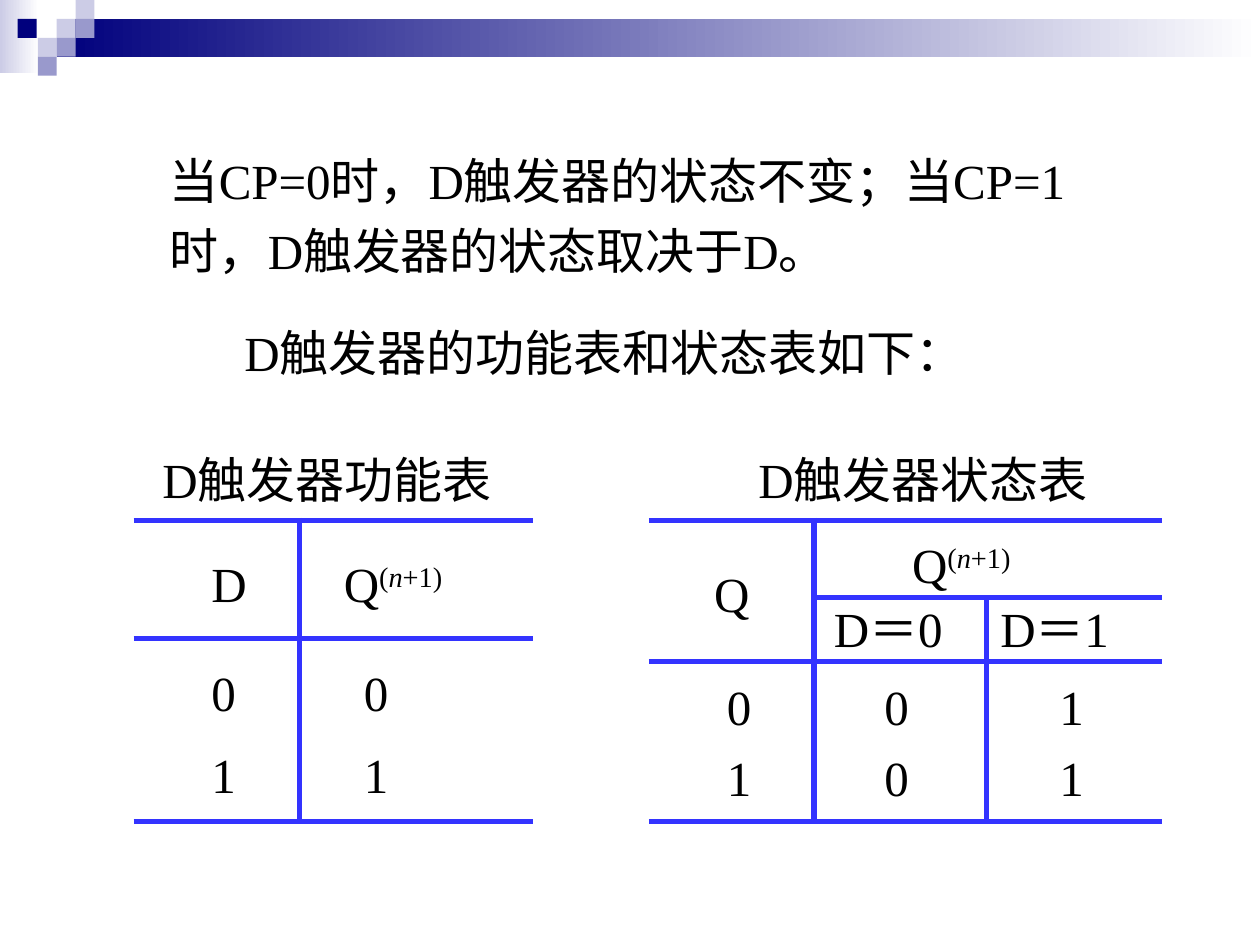
from lxml import etree
from pptx import Presentation
from pptx import util as u
from pptx.dml.color import RGBColor
from pptx.enum import shapes, text
from pptx.oxml import ns

NAVY, LILAC, VIOLET, WHITE = "00007D", "CCCCE6", "9999CC", "FFFFFF"


def colour(code):
    return RGBColor.from_string(code)


class Painter:
    font = "Times New Roman"
    size = u.Pt(28)
    ink = "000000"
    rule = "3333FF"
    rule_width = u.Pt(3)

    def __init__(self, slide):
        self.slide = slide

    def block(self, left, top, width, height, *colours):
        box = self.slide.shapes.add_shape(
            shapes.MSO_SHAPE.RECTANGLE, *map(u.Inches, (left, top, width, height)))
        box.shadow.inherit = False
        box.line.fill.background()
        if len(colours) == 1:
            box.fill.solid()
            box.fill.fore_color.rgb = colour(colours[0])
            return
        box.fill.gradient()
        box.fill.gradient_angle = 180
        for stop, code, position in zip(box.fill.gradient_stops, colours, (0, 1)):
            stop.color.rgb = colour(code)
            stop.position = position

    def line(self, x1, y1, x2, y2):
        line = self.slide.shapes.add_connector(
            shapes.MSO_CONNECTOR.STRAIGHT, *map(u.Inches, (x1, y1, x2, y2)))
        line.line.color.rgb = colour(self.rule)
        line.line.width = self.rule_width
        etree.SubElement(line._element.spPr, ns.qn("a:effectLst"))

    def label(self, left, top, width, height, *lines, spacing=None, wrap=False):
        box = self.slide.shapes.add_textbox(*map(u.Inches, (left, top, width, height)))
        frame = box.text_frame
        frame.word_wrap = wrap
        frame.auto_size = text.MSO_AUTO_SIZE.SHAPE_TO_FIT_TEXT
        for index, words in enumerate(lines):
            para = frame.add_paragraph() if index else frame.paragraphs[0]
            para.font.name = self.font
            para.font.size = self.size
            para.font.color.rgb = colour(self.ink)
            if spacing:
                para.line_spacing = spacing
            para.add_run().text = words
        return frame.paragraphs[0]

    def title(self, left, words):
        self.label(left, 3.52, 2.94, 0.57, words)

    def next_state(self, left, top):
        para = self.label(left, top, 0.98, 0.57, "Q")
        for words in ("(", "n", "+1)"):
            span = para.add_run()
            span.text = words
            if words == "n":
                span.font.italic = True
            span._r.get_or_add_rPr().set("baseline", "30000")


def draw_banner(painter):
    painter.block(0, 0, 0.31, 0.58, WHITE, LILAC)
    painter.block(0.45, 0.15, 9.55, 0.3, WHITE, NAVY)
    for left, top, code in (
        (0.45, 0.15, LILAC), (0.6, 0, LILAC), (0.6, 0.15, VIOLET), (0.3, 0.3, LILAC),
        (0.14, 0.15, NAVY), (0.45, 0.3, VIOLET), (0.3, 0.45, VIOLET),
    ):
        painter.block(left, top, 0.15, 0.15, code)


def draw_function_table(painter):
    painter.title(1.19, "D触发器功能表")
    for y in (4.13, 5.07, 6.52):
        painter.line(1.06, y, 4.23, y)
    painter.line(2.38, 4.11, 2.38, 6.5)
    painter.label(1.58, 4.34, 0.48, 0.57, "D")
    painter.next_state(2.63, 4.34)
    for left in (1.58, 2.79):
        painter.label(left, 5.02, 0.39, 1.41, "0", "1", spacing=1.4)


def draw_state_table(painter):
    painter.title(5.92, "D触发器状态表")
    for left, y in ((5.15, 4.13), (5.15, 5.25), (5.15, 6.52), (6.47, 4.74)):
        painter.line(left, y, 9.22, y)
    for x, top in ((6.46, 4.11), (7.83, 4.74)):
        painter.line(x, top, x, 6.5)
    painter.label(5.57, 4.42, 0.48, 0.57, "Q")
    painter.next_state(7.14, 4.19)
    for left, words in ((6.52, "D＝0"), (7.84, "D＝1")):
        painter.label(left, 4.7, 1.25, 0.57, words)
    for left, values in ((5.67, "01"), (6.92, "00"), (8.31, "11")):
        painter.label(left, 5.23, 0.39, 1.22, *values, spacing=1.2)


def main():
    deck = Presentation()
    deck.slide_width, deck.slide_height = u.Inches(10), u.Inches(7.5)
    painter = Painter(deck.slides.add_slide(deck.slide_layouts[6]))
    draw_banner(painter)
    painter.label(1.25, 1.05, 7.51, 1.22,
                  "当CP=0时，D触发器的状态不变；当CP=1时，D触发器的状态取决于D。",
                  spacing=1.2, wrap=True)
    painter.label(1.84, 2.51, 6.01, 0.57, "D触发器的功能表和状态表如下：")
    draw_function_table(painter)
    draw_state_table(painter)
    deck.save("out.pptx")


if __name__ == "__main__":
    main()
